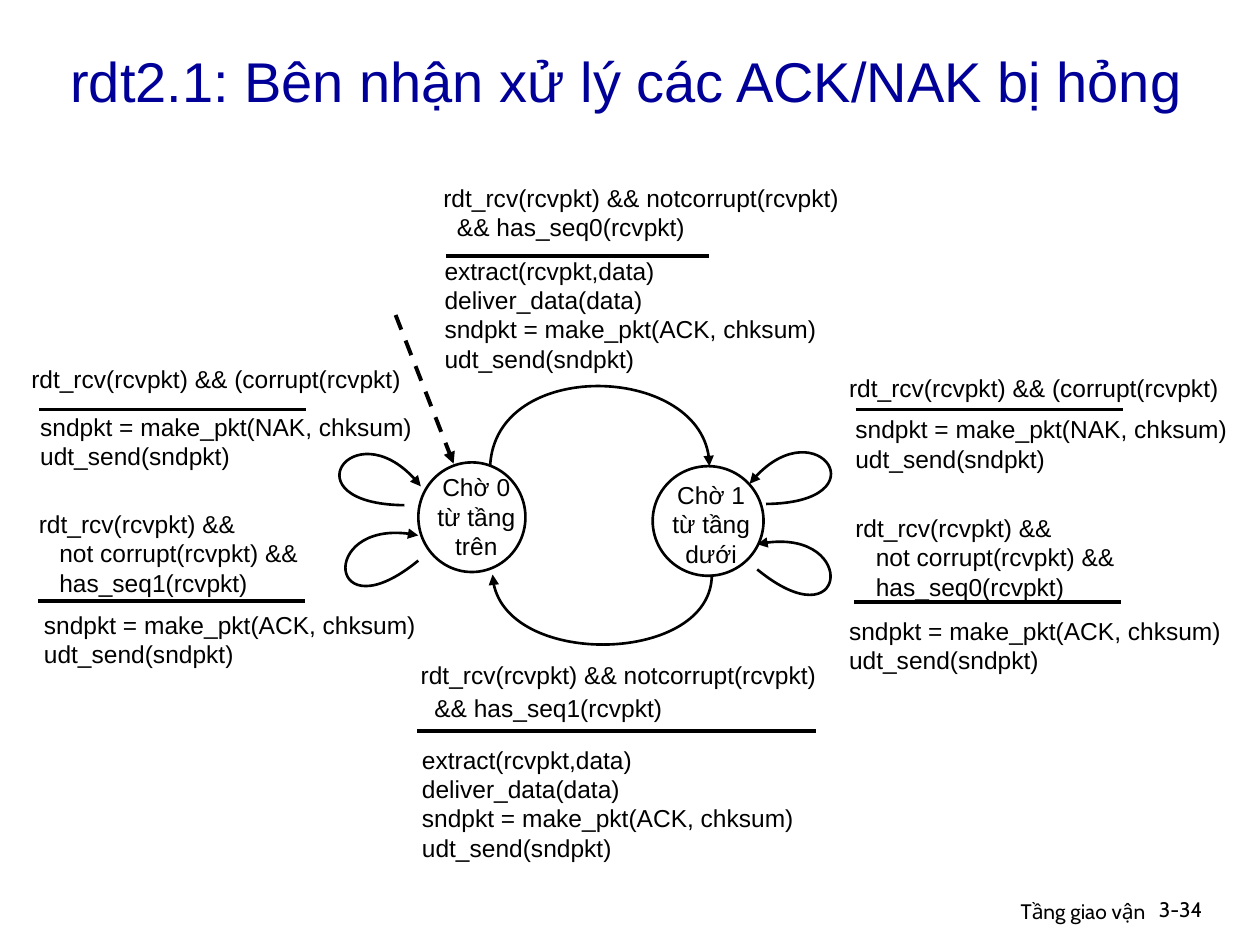
import pptx
import pptx.util
import pptx.dml.color
import pptx.enum.dml
import pptx.enum.shapes
import pptx.enum.text
import pptx.oxml
import pptx.oxml.ns

BLACK = pptx.dml.color.RGBColor(0x00, 0x00, 0x00)
WHITE = pptx.dml.color.RGBColor(0xFF, 0xFF, 0xFF)
NAVY = pptx.dml.color.RGBColor(0x00, 0x00, 0x99)

WIDTH, HEIGHT = pptx.util.Inches(10), pptx.util.Inches(7.5)
COLUMNS, ROWS = 100, 75  # all positions are columns and rows of this grid

ALIGN = pptx.enum.text.PP_ALIGN
ANCHOR = pptx.enum.text.MSO_ANCHOR

# Indents of continued conditions, in points
AND_INDENT, CONDITION_INDENT = 7.8, 11.7


def at(column, row):
    return round(WIDTH * column / COLUMNS), round(HEIGHT * row / ROWS)


def add_text(shapes, box, lines, *, size=14, font="Arial", color=BLACK,
             align=ALIGN.LEFT, anchor=ANCHOR.TOP, indent=0, gap=0):
    """Write one paragraph per line; indent and gap apply after the first."""
    frame = shapes.add_textbox(*at(*box[:2]), *at(*box[2:])).text_frame
    frame.word_wrap = True
    frame.vertical_anchor = anchor
    for number, line in enumerate(lines):
        paragraph = frame.add_paragraph() if number else frame.paragraphs[0]
        if number and indent:
            margin = pptx.util.Pt(indent)
            paragraph._p.get_or_add_pPr().set("marL", str(margin))
        if number and gap:
            paragraph.space_before = pptx.util.Pt(gap)
        paragraph.alignment = align
        paragraph.text = line
        paragraph.font.size = pptx.util.Pt(size)
        paragraph.font.name = font
        paragraph.font.color.rgb = color


def style_line(line, width):
    line.color.rgb = BLACK
    line.width = pptx.util.Pt(width)


def add_arrowhead(line):
    head = pptx.oxml.parse_xml(
        f'<a:tailEnd {pptx.oxml.ns.nsdecls("a")} type="triangle"/>')
    line._get_or_add_ln().append(head)


def add_rule(slide, start, end, *, dashed_arrow=False):
    rule = slide.shapes.add_connector(
        pptx.enum.shapes.MSO_CONNECTOR.STRAIGHT, *at(*start), *at(*end))
    style_line(rule.line, 2.25)
    if dashed_arrow:
        rule.line.dash_style = pptx.enum.dml.MSO_LINE.DASH
        add_arrowhead(rule.line)
    rule._element.spPr.append(
        pptx.oxml.parse_xml(f'<a:effectLst {pptx.oxml.ns.nsdecls("a")}/>'))


def add_curved_arrow(slide, start, *controls_and_end):
    """Draw one cubic curve with an arrowhead at its end."""
    builder = slide.shapes.build_freeform(*at(*start))
    builder.add_line_segments([at(*p) for p in controls_and_end], close=False)
    arrow = builder.convert_to_shape()
    # Turn the three straight segments into a single Bezier segment
    segments = list(arrow._element.iter(pptx.oxml.ns.qn("a:lnTo")))
    curve = pptx.oxml.parse_xml(
        f'<a:cubicBezTo {pptx.oxml.ns.nsdecls("a")}/>')
    segments[0].addprevious(curve)
    for segment in segments:
        curve.append(segment[0])
        segment.getparent().remove(segment)
    arrow.fill.background()
    arrow.shadow.inherit = False
    style_line(arrow.line, 1.5)
    add_arrowhead(arrow.line)


def add_state(slide, circle_box, label_box, label):
    state = slide.shapes.add_group_shape()
    circle = state.shapes.add_shape(pptx.enum.shapes.MSO_SHAPE.OVAL,
                                    *at(*circle_box[:2]), *at(*circle_box[2:]))
    circle.fill.solid()
    circle.fill.fore_color.rgb = WHITE
    circle.shadow.inherit = False
    style_line(circle.line, 1.5)
    add_text(state.shapes, label_box, [label], align=ALIGN.CENTER)


def add_transition(slide, event_box, event, rule, action_box, action,
                   **event_format):
    """Event above a rule, action below it; rule is left, row, length."""
    left, row, length = rule
    add_text(slide.shapes, event_box, event, **event_format)
    add_rule(slide, (left, row), (left + length, row))
    add_text(slide.shapes, action_box, action)


def reply(kind):
    return [f"sndpkt = make_pkt({kind}, chksum)", "udt_send(sndpkt)"]


def expected(sequence):
    return ["rdt_rcv(rcvpkt) && notcorrupt(rcvpkt)",
            f"&& has_seq{sequence}(rcvpkt)"]


def duplicate(sequence):
    return ["rdt_rcv(rcvpkt) &&", "not corrupt(rcvpkt) &&",
            f"has_seq{sequence}(rcvpkt)"]


def main():
    deck = pptx.Presentation()
    deck.slide_width, deck.slide_height = WIDTH, HEIGHT
    slide = deck.slides.add_slide(deck.slide_layouts[6])

    # Title
    add_text(slide.shapes, (4.6, 2, 91, 8.7),
             ["rdt2.1: Bên nhận xử lý các ACK/NAK bị hỏng"],
             size=32, color=NAVY, anchor=ANCHOR.MIDDLE)

    # States and the entry arrow
    add_state(slide, (33.2, 36.7, 8.5, 8.7), (33.4, 37, 8.8, 6.7),
              "Chờ 0 từ tầng trên")
    add_state(slide, (51.8, 37, 8.8, 8.7), (52.1, 37.6, 8.7, 6.7),
              "Chờ 1 từ tầng dưới")
    add_rule(slide, (31.4, 25), (36, 36.8), dashed_arrow=True)

    # Arrows between the states, then the loops of state 0 and state 1
    for curve in (
        [(38.9, 37), (39.3, 28.4), (56.3, 28.9), (56.3, 37)],
        [(56.5, 45.6), (56.5, 52.7), (39.4, 53.1), (39.1, 45.6)],
        [(32.1, 40.1), (22.8, 40), (28.3, 32.1), (33.4, 38.6)],
        [(33.2, 44.5), (26, 50.4), (25.2, 40.8), (33.2, 42.5)],
        [(60.8, 40), (70.1, 39.9), (64.6, 32), (59.5, 38.4)],
        [(60.1, 45.2), (67.3, 51.1), (68.2, 41.5), (60.1, 43.2)],
    ):
        add_curved_arrow(slide, *curve)

    # Transitions on an expected packet: above and below the states
    deliver = ["extract(rcvpkt,data)", "deliver_data(data)", *reply("ACK")]
    add_transition(slide, (34.2, 14, 43.5, 6.3), expected(0),
                   (35.4, 20.3, 20.9), (34.3, 19.8, 38, 7.7), deliver,
                   indent=AND_INDENT)
    add_transition(slide, (32.4, 51.9, 39.2, 6.2), expected(1),
                   (33.1, 58, 31.7), (32.5, 58.6, 42.1, 10.9), deliver,
                   indent=AND_INDENT, gap=2)

    # Transitions on a corrupt packet: left and right
    corrupt = ["rdt_rcv(rcvpkt) && (corrupt(rcvpkt)"]
    add_transition(slide, (1.5, 28.4, 31.4, 6.7), corrupt,
                   (3.1, 32.5, 21.2), (2.2, 32.2, 33.1, 4.5), reply("NAK"))
    add_transition(slide, (66.4, 29.1, 31.4, 6.7), corrupt,
                   (67.9, 32.5, 21.2), (66.9, 32.4, 33.1, 4.5), reply("NAK"))

    # Transitions on a duplicate packet: left and right
    add_transition(slide, (2.1, 39.9, 28.7, 6.7), duplicate(1),
                   (3, 47.7, 21.2), (2.5, 47.9, 32.2, 4.5), reply("ACK"),
                   indent=CONDITION_INDENT)
    add_transition(slide, (66.9, 40.2, 28.7, 6.7), duplicate(0),
                   (67.8, 47.8, 21.2), (66.4, 48.4, 32.2, 4.5), reply("ACK"),
                   indent=CONDITION_INDENT)

    # Footer
    add_text(slide.shapes, (60.2, 70.8, 31.7, 3.1), ["Tầng giao vận"],
             size=12, font="Cabin", align=ALIGN.RIGHT)
    add_text(slide.shapes, (91, 70.7, 7.4, 3), ["3-34"],
             size=12, font="Cabin")

    deck.save("out.pptx")


if __name__ == "__main__":
    main()
